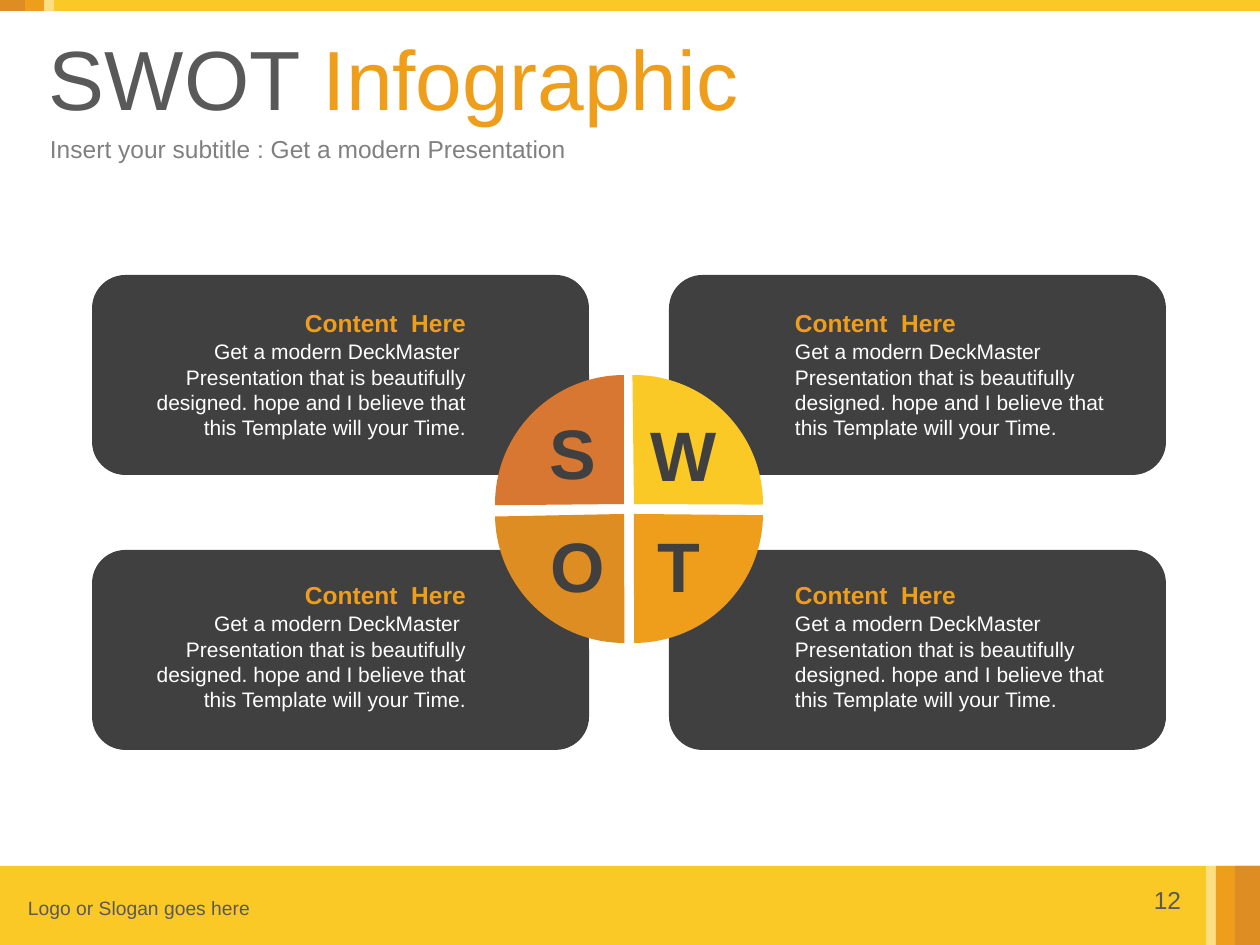
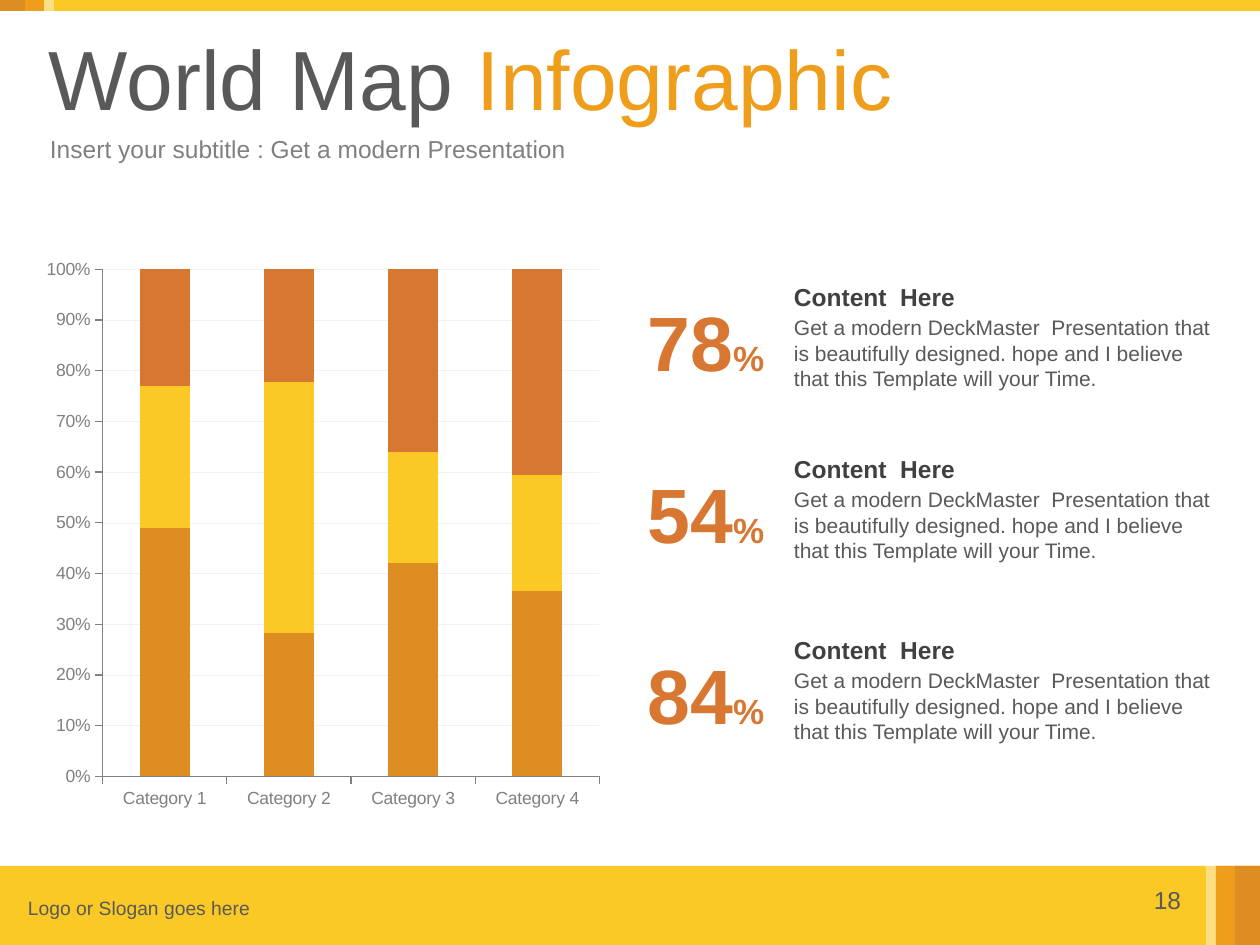
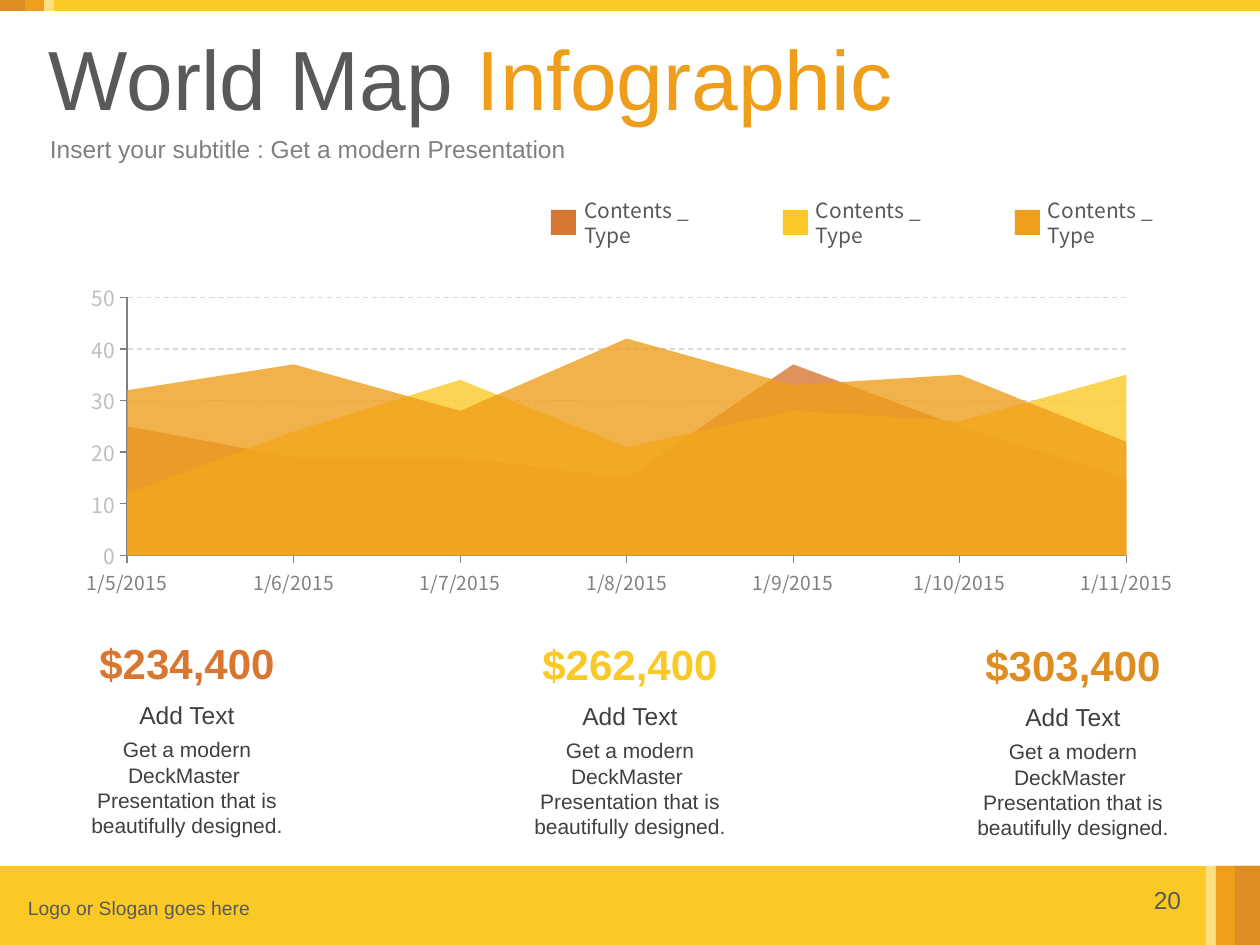
from collections import namedtuple
from dataclasses import dataclass

from lxml.etree import SubElement
from pptx import Presentation
from pptx.chart.data import CategoryChartData
from pptx.dml.color import RGBColor
from pptx.enum.chart import XL_CHART_TYPE as ChartType, XL_TICK_MARK as TickMark
from pptx.enum.dml import MSO_LINE as LineDash
from pptx.enum.shapes import MSO_SHAPE as Preset
from pptx.enum.text import MSO_ANCHOR as Anchor, PP_ALIGN as Align
from pptx.oxml.ns import qn
from pptx.util import Emu, Pt

EMU_PER_PX = 914400 / 126

Box = namedtuple("Box", "left top width height")
Style = namedtuple("Style", "size colour bold font", defaults=(False, "Arial"))


@dataclass(frozen=True)
class Theme:
    yellow: str = "FAC926"
    orange: str = "EF9E1B"
    amber: str = "DE8D22"
    rust: str = "D87732"
    white: str = "FFFFFF"
    dark: str = "404040"
    text: str = "595959"
    muted: str = "808080"
    pale: str = "BFBFBF"
    grid: str = "D9D9D9"
    faint_grid: str = "F2F2F2"
    chart_font: str = "Noto Sans CJK KR"
    title: int = 48
    figure: int = 44
    letter: int = 40
    amount: int = 24
    percent: int = 20
    heading: int = 14
    body: int = 12
    footer: int = 11
    axis: int = 10


THEME = Theme()
PITCH = ("Get a modern DeckMaster  Presentation that is beautifully designed. "
         "hope and I believe that this Template will your Time.")
SHORT_PITCH = "Get a modern DeckMaster  Presentation that is beautifully designed."


def px(length):
    return Emu(round(length * EMU_PER_PX))


def place(box):
    return [px(length) for length in box]


def paint(fill, colour, opacity=100):
    fill.solid()
    fill.fore_color.rgb = RGBColor.from_string(colour)
    if opacity < 100:
        colour_element = fill._xPr.find(qn("a:solidFill"))[0]
        SubElement(colour_element, qn("a:alpha")).set("val", str(opacity * 1000))


def style_font(font, style):
    font.name = style.font
    font.size = Pt(style.size)
    font.bold = style.bold
    font.color.rgb = RGBColor.from_string(style.colour)


def draw(slide, preset, box, colour, opacity=100):
    shape = slide.shapes.add_shape(preset, *place(box))
    shape.shadow.inherit = False
    paint(shape.fill, colour, opacity)
    shape.line.fill.background()
    return shape


def write(slide, box, text, style, align=Align.LEFT, anchor=Anchor.TOP,
          inset=(13, 6), wrap=True):
    frame = slide.shapes.add_textbox(*place(box)).text_frame
    frame.word_wrap = wrap
    frame.vertical_anchor = anchor
    frame.margin_left = px(inset[0])
    frame.margin_right = px(13)
    frame.margin_top = frame.margin_bottom = px(inset[1])
    paragraph = frame.paragraphs[0]
    paragraph.alignment = align
    style_font(paragraph.font, style)
    if text:
        add_run(paragraph, text)
    return paragraph


def add_run(paragraph, text, size=None, colour=None):
    run = paragraph.add_run()
    run.text = text
    if size:
        run.font.size = Pt(size)
    if colour:
        run.font.color.rgb = RGBColor.from_string(colour)


def add_band(slide, box, stripes_on_right):
    draw(slide, Preset.RECTANGLE, box, THEME.yellow)
    stripes = ((54, THEME.white, 42), (44, THEME.orange, 100), (25, THEME.amber, 100))
    for width, colour, opacity in stripes:
        left = box.left + box.width - width if stripes_on_right else box.left
        draw(slide, Preset.RECTANGLE, Box(left, box.top, width, box.height), colour, opacity)


def add_footer(slide, box, number):
    add_band(slide, box, True)
    write(slide, Box(box.left + 1140, box.top + 13, 55, 43), str(number),
          Style(THEME.heading, THEME.text), Align.CENTER, wrap=False)
    write(slide, Box(box.left + 15, box.top + 24, 348, 36), "Logo or Slogan goes here",
          Style(THEME.footer, THEME.text), anchor=Anchor.MIDDLE)


def add_base_slide(presentation, title, number):
    slide = presentation.slides.add_slide(presentation.slide_layouts[6])
    add_footer(slide, Box(0, 866, 1260, 79), number)
    add_band(slide, Box(0, 0, 1260, 11), False)
    heading = write(slide, Box(0, 28, 1260, 98), "", Style(THEME.title, THEME.text),
                    anchor=Anchor.MIDDLE, inset=(49, 6))
    add_run(heading, title + " ")
    add_run(heading, "Infographic", colour=THEME.orange)
    write(slide, Box(1, 130, 1259, 37), "Insert your subtitle : Get a modern Presentation",
          Style(THEME.heading, THEME.muted), anchor=Anchor.MIDDLE, inset=(49, 6))
    return slide


def add_card(slide, box, text_left, text_top, align):
    draw(slide, Preset.ROUNDED_RECTANGLE, box, THEME.dark)
    left, top = box.left + text_left, box.top + text_top
    write(slide, Box(left, top, 345, 43), "Content  Here",
          Style(THEME.heading, THEME.orange, True), align, Anchor.MIDDLE)
    write(slide, Box(left, top + 32, 345, 115), PITCH,
          Style(THEME.body, THEME.white), align)


def add_wheel(slide, box):
    gap = 10
    quarters = (
        ("O", THEME.amber, 0, 1, 89.8, 178.86, 43, 148),
        ("S", THEME.rust, 0, 0, 179.45, 270, 42, 35),
        ("T", THEME.orange, 1, 1, 0.53, 89.96, 150, 148),
        ("W", THEME.yellow, 1, 0, 269.31, 0.25, 143, 37),
    )
    for letter, colour, column, row, start, end, letter_left, letter_top in quarters:
        pie = draw(slide, Preset.PIE,
                   Box(box.left + column * gap, box.top + row * gap,
                       box.width - gap, box.height - gap), colour)
        pie.adjustments[0] = start * 0.6
        pie.adjustments[1] = end * 0.6
        write(slide, Box(box.left + letter_left, box.top + letter_top, 78, 84), letter,
              Style(THEME.letter, THEME.dark, True), anchor=Anchor.MIDDLE, inset=(13, 0))


def add_chart(slide, box, kind, categories, series_rows):
    data = CategoryChartData()
    data.categories = categories
    for index, (values, _, _) in enumerate(series_rows, 1):
        data.add_series(f"Series {index}", values)
    chart = slide.shapes.add_chart(kind, *place(box), data).chart
    chart.has_legend = False
    chart.has_title = False
    plot = chart.plots[0]
    plot.vary_by_categories = False
    for series, (_, colour, opacity) in zip(plot.series, series_rows):
        paint(series.format.fill, colour, opacity)
        series.format.line.fill.background()
    return chart


def style_axis(axis, style, number_format=None):
    axis.major_tick_mark = TickMark.OUTSIDE
    axis.minor_tick_mark = TickMark.NONE
    axis.format.line.color.rgb = RGBColor.from_string(THEME.muted)
    axis.format.line.width = Pt(0.75)
    style_font(axis.tick_labels.font, style)
    if number_format:
        axis.tick_labels.number_format = number_format
        axis.tick_labels.number_format_is_linked = False


def style_grid(axis, colour, width, dash=None):
    axis.has_major_gridlines = True
    line = axis.major_gridlines.format.line
    line.color.rgb = RGBColor.from_string(colour)
    line.width = Pt(width)
    if dash:
        line.dash_style = dash


def add_share_chart(slide, box):
    chart = add_chart(
        slide, box, ChartType.COLUMN_STACKED_100,
        [f"Category {number}" for number in range(1, 5)],
        (((49, 28, 42, 37), THEME.amber, 100),
         ((28, 49, 22, 23), THEME.yellow, 100),
         ((23, 22, 36, 41), THEME.rust, 100)))
    chart.plots[0].gap_width = 150
    chart.plots[0].overlap = 100
    style = Style(THEME.axis, THEME.muted)
    style_axis(chart.category_axis, style)
    style_axis(chart.value_axis, style, "0%")
    style_grid(chart.value_axis, THEME.faint_grid, 0.25)


def add_trend_chart(slide, box):
    chart = add_chart(
        slide, box, ChartType.AREA,
        [f"1/{day}/2015" for day in range(5, 12)],
        (((32, 37, 28, 42, 33, 35, 22), THEME.orange, 79),
         ((12, 24, 34, 21, 28, 26, 35), THEME.yellow, 79),
         ((25, 19, 19, 15, 37, 25, 15), THEME.rust, 80)))
    style_axis(chart.category_axis,
               Style(THEME.footer, THEME.muted, font=THEME.chart_font))
    axis = chart.value_axis
    axis.minimum_scale, axis.maximum_scale, axis.major_unit = 0, 50, 10
    style_axis(axis, Style(THEME.body, THEME.pale, font=THEME.chart_font), "General")
    style_grid(axis, THEME.grid, 0.75, LineDash.DASH)


def add_statistic(slide, box, figure):
    left = box.left + 148
    width = box.width - 148
    write(slide, Box(left, box.top, width, 43), "Content  Here",
          Style(THEME.heading, THEME.dark, True), anchor=Anchor.MIDDLE)
    write(slide, Box(left, box.top + 34, width, 89), PITCH, Style(THEME.body, THEME.text))
    number = write(slide, Box(box.left, box.top + 13, 146, 106), "",
                   Style(THEME.figure, THEME.rust, True), Align.CENTER, Anchor.MIDDLE)
    add_run(number, figure)
    add_run(number, "%", size=THEME.percent)


def add_legend_entry(slide, box, colour):
    draw(slide, Preset.RECTANGLE, Box(box.left, box.top + 6, 25, 25), colour)
    write(slide, Box(box.left + 20, box.top, box.width - 20, box.height), "Contents _ Type",
          Style(THEME.body, THEME.text, font=THEME.chart_font), anchor=Anchor.MIDDLE)


def add_amount(slide, box, amount, colour):
    write(slide, Box(box.left + 3, box.top, box.width - 6, 63), amount,
          Style(THEME.amount, colour, True), Align.CENTER, Anchor.MIDDLE)
    write(slide, Box(box.left + 3, box.top + 63, box.width - 6, 43), "Add Text",
          Style(THEME.heading, THEME.dark), Align.CENTER)
    write(slide, Box(box.left, box.top + 100, box.width, 115), SHORT_PITCH,
          Style(THEME.body, THEME.dark), Align.CENTER)


def build_swot(presentation):
    slide = add_base_slide(presentation, "SWOT", 12)
    for top, text_top in ((275, 26), (550, 23)):
        for left, text_left, align in ((92, 42, Align.RIGHT), (669, 113, Align.LEFT)):
            add_card(slide, Box(left, top, 497, 200), text_left, text_top, align)
    add_wheel(slide, Box(495, 375, 268, 268))


def build_shares(presentation):
    slide = add_base_slide(presentation, "World Map", 18)
    add_share_chart(slide, Box(35, 248, 576, 572))
    for top, figure in ((275, "78"), (447, "54"), (628, "84")):
        add_statistic(slide, Box(633, top, 593, 123), figure)


def build_trend(presentation):
    slide = add_base_slide(presentation, "World Map", 20)
    add_trend_chart(slide, Box(64, 275, 1131, 327))
    amounts = (("$234,400", THEME.rust), ("$262,400", THEME.yellow),
               ("$303,400", THEME.amber))
    for index, (amount, colour) in enumerate(amounts):
        add_amount(slide, Box(64 + index * 443, 631 + index, 246, 215), amount, colour)
    for index, colour in enumerate((THEME.rust, THEME.yellow, THEME.orange)):
        add_legend_entry(slide, Box(551 + index * 232, 204, 200, 38), colour)


def main():
    presentation = Presentation()
    presentation.slide_width = px(1260)
    presentation.slide_height = px(945)
    for build in (build_swot, build_shares, build_trend):
        build(presentation)
    presentation.save("out.pptx")


if __name__ == "__main__":
    main()
